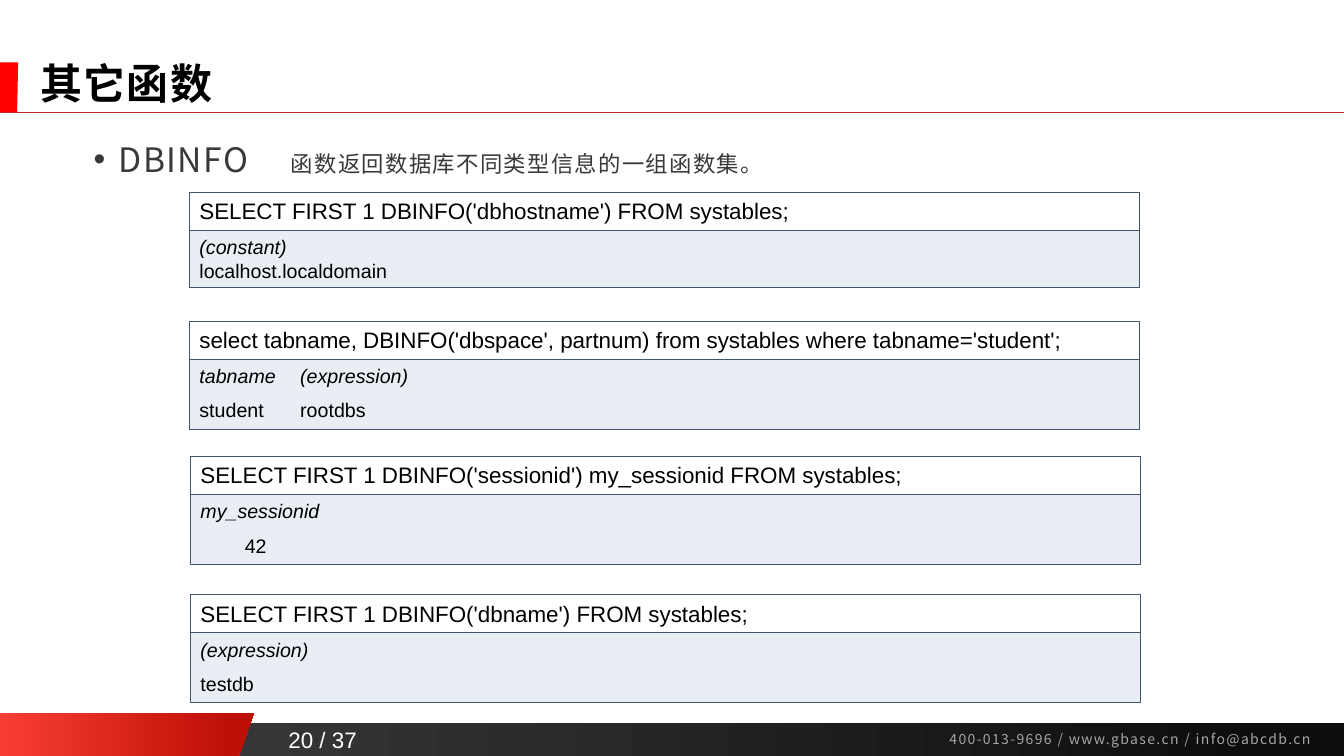
import dataclasses
import typing

import pptx
import pptx.dml.color
import pptx.enum.shapes
import pptx.enum.text
import pptx.oxml.ns
import pptx.util
from lxml import etree

COLUMN = 0.1
ROW = 0.1
SLIDE_COLUMNS = 133.33
SLIDE_ROWS = 75
LATIN = "Arial"
CHINESE = "Noto Sans CJK SC"
QUERY_ROWS = 3.75
TABLE_COLUMNS = 94.2
ANCHOR = pptx.enum.text.MSO_ANCHOR
ALIGN = pptx.enum.text.PP_ALIGN
RECTANGLE = pptx.enum.shapes.MSO_SHAPE.RECTANGLE


@dataclasses.dataclass
class Area:
    left: float
    top: float
    width: float
    height: float

    def lengths(self) -> list:
        return [columns(self.left), rows(self.top), columns(self.width), rows(self.height)]


@dataclasses.dataclass
class Piece:
    text: str
    size: float
    color: str = "000000"
    latin: str = LATIN
    spacing: float = 0
    style: dict = dataclasses.field(default_factory=dict)


@dataclasses.dataclass
class Line:
    pieces: list
    format: dict = dataclasses.field(default_factory=dict)
    margin: float = 0
    hanging: float = 0
    bullet: str = ""
    tab: float = 0


@dataclasses.dataclass
class Example:
    left: float
    top: float
    result_rows: float
    gap: float
    query: str
    heading: str
    value: str
    heading_tab: float = 0
    value_tab: float = 0
    value_margin: float = 0


def columns(count: float) -> int:
    return pptx.util.Inches(count * COLUMN)


def rows(count: float) -> int:
    return pptx.util.Inches(count * ROW)


def color(value: str) -> pptx.dml.color.RGBColor:
    return pptx.dml.color.RGBColor.from_string(value)


def apply(target: typing.Any, values: dict) -> None:
    for name, value in values.items():
        setattr(target, name, value)


def add_child(parent: typing.Any, tag: str, **attributes: str) -> typing.Any:
    return etree.SubElement(parent, pptx.oxml.ns.qn(tag), attributes)


def add_piece(paragraph: typing.Any, piece: Piece) -> None:
    run = paragraph.add_run()
    run.text = piece.text
    apply(run.font, {"name": piece.latin, "size": pptx.util.Pt(piece.size), **piece.style})
    run.font.color.rgb = color(piece.color)
    properties = run.font._element
    add_child(properties, "a:ea", typeface=CHINESE)
    if piece.spacing:
        properties.set("spc", str(round(piece.spacing * 100)))


def write(shape: typing.Any, lines: list, frame_format: typing.Optional[dict] = None) -> None:
    frame = shape.text_frame
    apply(frame, {"word_wrap": True, "vertical_anchor": ANCHOR.TOP, **(frame_format or {})})
    for index, line in enumerate(lines):
        paragraph = frame.add_paragraph() if index else frame.paragraphs[0]
        properties = paragraph._p.get_or_add_pPr()
        properties.set("marL", str(columns(line.margin)))
        properties.set("indent", str(columns(-line.hanging)))
        if line.bullet:
            add_child(properties, "a:buFont", typeface=LATIN)
            add_child(properties, "a:buChar", char=line.bullet)
        if line.tab:
            tabs = add_child(properties, "a:tabLst")
            add_child(tabs, "a:tab", pos=str(columns(line.tab)), algn="l")
        apply(paragraph, {"alignment": ALIGN.LEFT, **line.format})
        for piece in line.pieces:
            add_piece(paragraph, piece)


def add_text(slide: typing.Any, area: Area, lines: list, frame_format: typing.Optional[dict] = None) -> None:
    write(slide.shapes.add_textbox(*area.lengths()), lines, frame_format)


def fill_gradient(shape: typing.Any, start: str, end: str, end_position: float) -> None:
    shape.fill.gradient()
    shape.fill.gradient_angle = 0
    for stop, value, position in zip(shape.fill.gradient_stops, (start, end), (0, end_position)):
        stop.color.rgb = color(value)
        stop.position = position


def add_slanted(slide: typing.Any, top: float, bottom: float, top_right: float, bottom_right: float) -> typing.Any:
    builder = slide.shapes.build_freeform(0, rows(top))
    corners = [(top_right, top), (bottom_right, bottom), (0, bottom)]
    builder.add_line_segments([(columns(x), rows(y)) for x, y in corners], close=True)
    shape = builder.convert_to_shape()
    shape.shadow.inherit = False
    shape.line.fill.background()
    return shape


def add_cell(slide: typing.Any, area: Area, fill: str, lines: list) -> None:
    shape = slide.shapes.add_shape(RECTANGLE, *area.lengths())
    shape.shadow.inherit = False
    if fill:
        shape.fill.solid()
        shape.fill.fore_color.rgb = color(fill)
    else:
        shape.fill.background()
    shape.line.color.rgb = color("44546A")
    shape.line.width = pptx.util.Pt(0.75)
    write(shape, lines)


def add_example(slide: typing.Any, example: Example) -> None:
    gap = {"space_after": pptx.util.Pt(example.gap)}
    result = Area(example.left, example.top + QUERY_ROWS, TABLE_COLUMNS, example.result_rows)
    heading = Line([Piece(example.heading, 14, style={"italic": True})], gap, tab=example.heading_tab)
    value = Line([Piece(example.value, 14)], margin=example.value_margin, tab=example.value_tab)
    add_cell(slide, result, "E9EDF4", [heading, value])
    query = Area(example.left, example.top, TABLE_COLUMNS, QUERY_ROWS)
    add_cell(slide, query, "", [Line([Piece(example.query, 16)])])


def add_frame(slide: typing.Any) -> None:
    footer = slide.shapes.add_shape(RECTANGLE, *Area(0, 71.7, SLIDE_COLUMNS, 3.3).lengths())
    footer.shadow.inherit = False
    footer.line.fill.background()
    fill_gradient(footer, "404040", "0D0D0D", 0.94)
    fill_gradient(add_slanted(slide, 70.7, SLIDE_ROWS, 25.2, 23.7), "F93D32", "BE1007", 0.91)
    marker = add_slanted(slide, 6.2, 11.2, 1.8, 1.7)
    marker.fill.solid()
    marker.fill.fore_color.rgb = color("FF0000")
    rule = slide.shapes.add_connector(
        pptx.enum.shapes.MSO_CONNECTOR.STRAIGHT, 0, rows(11.1), columns(SLIDE_COLUMNS), rows(11.1))
    rule.line.color.rgb = color("B82E24")
    rule.line.width = pptx.util.Pt(0.5)
    add_child(rule._element.spPr, "a:effectLst")
    contact = Piece("400-013-9696 / www.gbase.cn / info@abcdb.cn", 10, "A6A6A6", CHINESE, 1)
    add_text(slide, Area(93.2, 72, 39.9, 2.7), [Line([contact])])
    page = Line([Piece("20 / 37", 16, "FFFFFF")], {"alignment": ALIGN.CENTER})
    add_text(slide, Area(27.4, 71.5, 9.2, 3.7), [page], {"word_wrap": False, "vertical_anchor": ANCHOR.BOTTOM})


EXAMPLES = [
    Example(18.8, 19.1, 5.7, 0, "SELECT FIRST 1 DBINFO('dbhostname') FROM systables;",
            "(constant)", "localhost.localdomain"),
    Example(18.8, 31.9, 7, 7.5,
            "select tabname, DBINFO('dbspace', partnum) from systables where tabname='student';",
            "tabname\t(expression)", "student\trootdbs", heading_tab=16.4, value_tab=17.5),
    Example(18.9, 45.3, 7, 7.5, "SELECT FIRST 1 DBINFO('sessionid') my_sessionid FROM systables;",
            "my_sessionid", "42", value_margin=4.4),
    Example(18.9, 59, 6.9, 7.5, "SELECT FIRST 1 DBINFO('dbname') FROM systables;",
            "(expression)", "testdb"),
]


def main() -> None:
    presentation = pptx.Presentation()
    presentation.slide_width = columns(SLIDE_COLUMNS)
    presentation.slide_height = rows(SLIDE_ROWS)
    slide = presentation.slides.add_slide(presentation.slide_layouts[6])
    add_frame(slide)
    title = Piece("其它函数", 30, spacing=1, style={"bold": True})
    add_text(slide, Area(3, 5.9, 122.6, 5.3), [Line([title], {"line_spacing": 0.9})],
             {"vertical_anchor": ANCHOR.MIDDLE})
    summary = [
        Piece("DBINFO", 24, "3B3838", CHINESE, 1),
        Piece(" ", 24, "3B3838", CHINESE, 24),
        Piece("函数返回数据库不同类型信息的一组函数集。", 16, "3B3838", CHINESE, 1),
    ]
    add_text(slide, Area(8.3, 13.7, 117.2, 53.5),
             [Line(summary, {"line_spacing": 0.9}, margin=2.5, hanging=2.5, bullet="•")])
    for example in EXAMPLES:
        add_example(slide, example)
    presentation.save("out.pptx")


if __name__ == "__main__":
    main()
